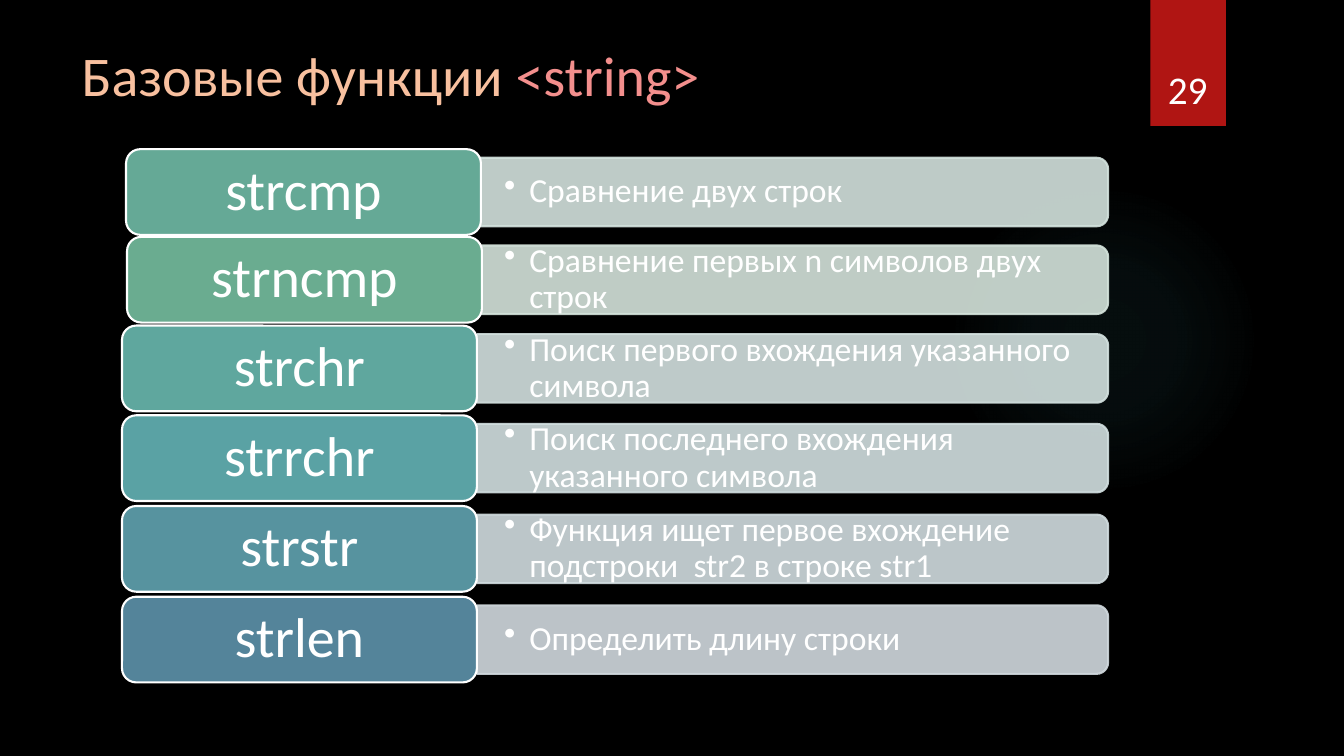
"""Build the slide that lists the basic string functions."""
import dataclasses

import lxml.etree
import pptx
import pptx.dml.color
import pptx.enum.shapes
import pptx.enum.text
import pptx.oxml.ns
import pptx.util

Inches = pptx.util.Inches
SHAPES = pptx.enum.shapes.MSO_SHAPE
ALIGN = pptx.enum.text.PP_ALIGN
ANCHOR = pptx.enum.text.MSO_ANCHOR
qn = pptx.oxml.ns.qn


@dataclasses.dataclass(frozen=True)
class Theme:
    """Colours, type sizes and font of the slide."""
    font: str = "Calibri"
    background: str = "000000"
    text: str = "FFFFFF"
    title: str = "F8C09F"
    header_name: str = "F38F8D"
    tab: str = "B01513"
    glow: str = "50B9C1"
    large: int = 40
    number: int = 28
    body: int = 24


THEME = Theme()
FUNCTIONS = [
    ("strcmp", "Сравнение двух строк", 1.25, 1.48, "65A996", "D3E2DD"),
    ("strncmp", "Сравнение первых n символов двух строк", 1.26, 2.35, "6AAC90", "D4E3DB"),
    ("strchr", "Поиск первого вхождения указанного символа", 1.21, 3.23, "5FA79E", "D3E1DF"),
    ("strrchr", "Поиск последнего вхождения указанного символа", 1.21, 4.12, "5AA2A4", "D2DFE0"),
    ("strstr", "Функция ищет первое вхождение подстроки  str2 в строке str1",
     1.21, 5.02, "57939F", "D1DCDF"),
    ("strlen", "Определить длину строки", 1.21, 5.92, "54849A", "D1D9DE"),
]
NAME_WIDTH, NAME_HEIGHT = 3.52, 0.85
BAR_LEFT, BAR_WIDTH, BAR_HEIGHT = 4.73, 6.26, 0.68
DESCRIPTION_WIDTH, DESCRIPTION_HEIGHT = 6.23, 0.62


def rgb(colour):
    """Turn a hex string into a colour."""
    return pptx.dml.color.RGBColor.from_string(colour)


def style_run(run, size, colour):
    """Set the font, size and colour of a run."""
    run.font.name = THEME.font
    run.font.size = pptx.util.Pt(size)
    run.font.color.rgb = rgb(colour)


def write(frame, text, size, align, anchor, insets=(0.1, 0.05)):
    """Put one formatted paragraph into a frame and return it."""
    frame.word_wrap = True
    frame.vertical_anchor = anchor
    frame.margin_left = frame.margin_right = Inches(insets[0])
    frame.margin_top = frame.margin_bottom = Inches(insets[1])
    frame.text = text
    paragraph = frame.paragraphs[0]
    paragraph.alignment = align
    style_run(paragraph.runs[0], size, THEME.text)
    return paragraph


def add_block(slide, preset, left, top, width, height, fill, line=None):
    """Add a flat preset shape with an optional outline."""
    block = slide.shapes.add_shape(
        preset, Inches(left), Inches(top), Inches(width), Inches(height))
    block.shadow.inherit = False
    block.fill.solid()
    block.fill.fore_color.rgb = rgb(fill)
    if line:
        block.line.color.rgb = rgb(line)
        block.line.width = pptx.util.Pt(1.5)
    else:
        block.line.fill.background()
    return block


def add_glow(slide):
    """Add the faint radial glow behind the list."""
    glow = add_block(slide, SHAPES.OVAL, 9.41, 1.83, 3.08, 3.08, THEME.glow)
    solid = glow.element.spPr.find(qn("a:solidFill"))
    gradient = lxml.etree.Element(qn("a:gradFill"))
    stops = lxml.etree.SubElement(gradient, qn("a:gsLst"))
    for position, alpha in ((0, 7), (36, 6), (69, 0)):
        stop = lxml.etree.SubElement(stops, qn("a:gs"), pos=str(position * 1000))
        colour = lxml.etree.SubElement(stop, qn("a:srgbClr"), val=THEME.glow)
        lxml.etree.SubElement(colour, qn("a:alpha"), val=str(alpha * 1000))
    circle = lxml.etree.SubElement(gradient, qn("a:path"), path="circle")
    lxml.etree.SubElement(circle, qn("a:fillToRect"),
                          dict.fromkeys("ltrb", "50000"))
    solid.getparent().replace(solid, gradient)


def add_title(slide):
    """Place the two-coloured title."""
    title = slide.shapes.title
    title.left, title.top = Inches(0.71), Inches(0.32)
    title.width, title.height = Inches(10.29), Inches(0.84)
    paragraph = write(title.text_frame, "Базовые функции ", THEME.large,
                      ALIGN.LEFT, ANCHOR.MIDDLE)
    style_run(paragraph.runs[0], THEME.large, THEME.title)
    header_name = paragraph.add_run()
    header_name.text = "<string>"
    style_run(header_name, THEME.large, THEME.header_name)


def add_page_number(slide):
    """Add the red tab and the page number on it."""
    add_block(slide, SHAPES.RECTANGLE, 11.41, 0, 0.75, 1.25, THEME.tab)
    number = slide.shapes.add_textbox(
        Inches(11.32), Inches(0.32), Inches(0.92), Inches(0.84))
    write(number.text_frame, "29", THEME.number, ALIGN.CENTER, ANCHOR.BOTTOM)


def add_bar(slide, middle, colour):
    """Add a translucent bar, turned so that its right end is rounded."""
    bar = add_block(slide, SHAPES.ROUND_2_SAME_RECTANGLE,
                    BAR_LEFT + (BAR_WIDTH - BAR_HEIGHT) / 2, middle - BAR_WIDTH / 2,
                    BAR_HEIGHT, BAR_WIDTH, colour, colour)
    bar.rotation = 90
    for tint in bar.element.spPr.iter(qn("a:srgbClr")):
        lxml.etree.SubElement(tint, qn("a:alpha"), val="90000")


def add_description(slide, middle, text):
    """Add the bulleted description over a bar."""
    description = slide.shapes.add_textbox(
        Inches(BAR_LEFT), Inches(middle - DESCRIPTION_HEIGHT / 2),
        Inches(DESCRIPTION_WIDTH), Inches(DESCRIPTION_HEIGHT))
    paragraph = write(description.text_frame, text, THEME.body,
                      ALIGN.LEFT, ANCHOR.MIDDLE, (0.27, 0.14))
    paragraph.level = 1
    properties = paragraph._p.get_or_add_pPr()
    properties.set("marL", str(Inches(0.25)))
    properties.set("indent", str(-Inches(0.25)))
    lxml.etree.SubElement(properties, qn("a:buChar"), char="•")
    paragraph.line_spacing = 0.9


def add_function(slide, name, text, left, top, name_colour, bar_colour):
    """Add one row: a bar with a description and a box with the name."""
    middle = top + NAME_HEIGHT / 2
    add_bar(slide, middle, bar_colour)
    add_description(slide, middle, text)
    name_box = add_block(slide, SHAPES.ROUNDED_RECTANGLE, left, top,
                         NAME_WIDTH, NAME_HEIGHT, name_colour, THEME.text)
    paragraph = write(name_box.text_frame, name, THEME.large,
                      ALIGN.CENTER, ANCHOR.MIDDLE, (0.17, 0.08))
    paragraph.line_spacing = 0.9


def main():
    """Build and save the presentation."""
    deck = pptx.Presentation()
    deck.slide_width, deck.slide_height = Inches(13.33), Inches(7.5)
    slide = deck.slides.add_slide(deck.slide_layouts.get_by_name("Title Only"))
    slide.background.fill.solid()
    slide.background.fill.fore_color.rgb = rgb(THEME.background)
    add_glow(slide)
    add_title(slide)
    for function in FUNCTIONS:
        add_function(slide, *function)
    add_page_number(slide)
    deck.save("out.pptx")


if __name__ == "__main__":
    main()
